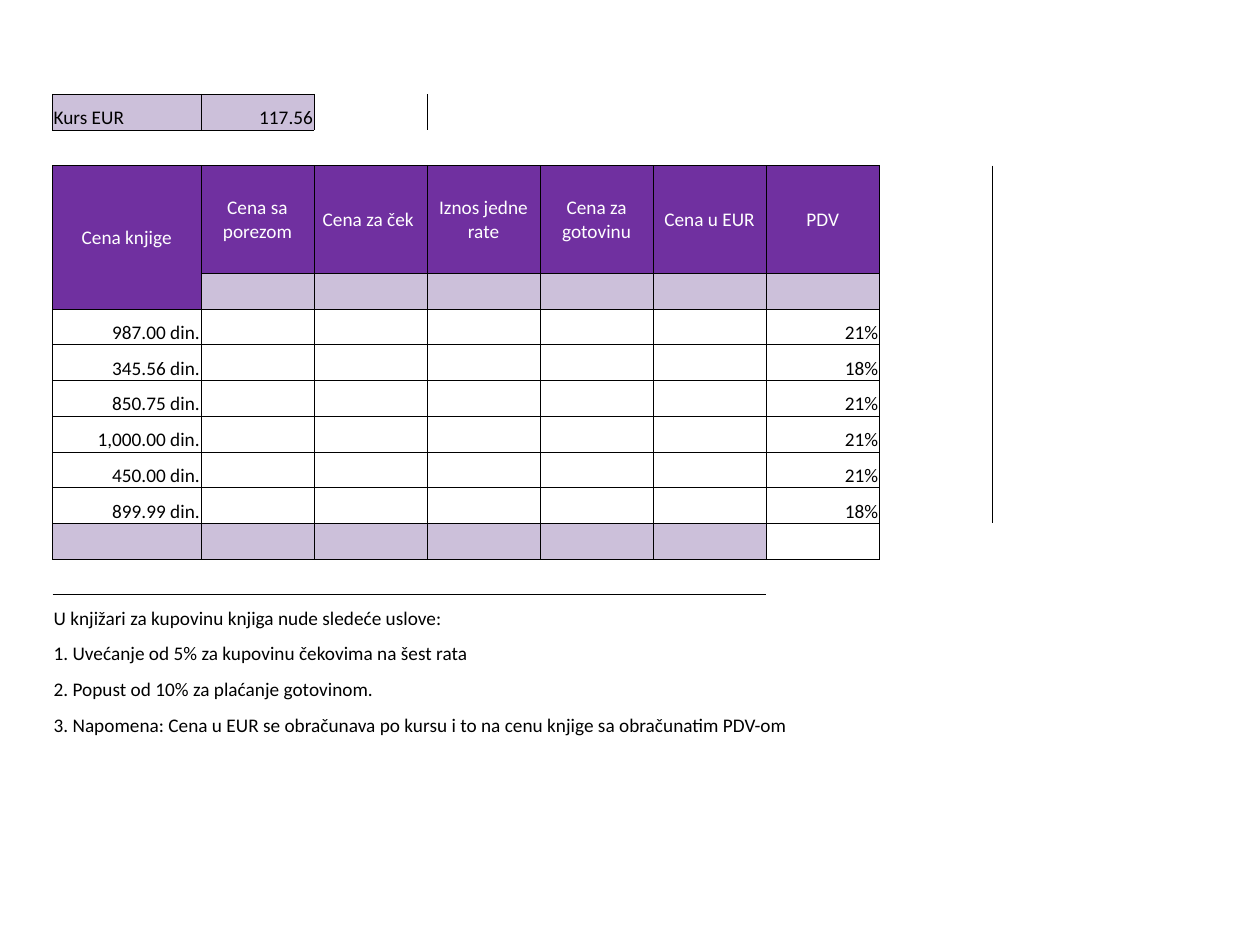
from dataclasses import dataclass

from lxml import etree
from pptx import Presentation
from pptx import util as u
from pptx.dml.color import RGBColor
from pptx.enum import text
from pptx.oxml import ns


@dataclass(frozen=True)
class Theme:
    font: str = "Calibri"
    size: int = 11
    ink: str = "000000"
    light: str = "FFFFFF"
    header: str = "7030A0"
    accent: str = "CCC0DA"
    line: float = 0.5
    no_grid: str = "{2D5ABB26-0587-4C30-8999-92F81FD0307C}"


LEFT, CENTER, RIGHT = (text.PP_ALIGN.LEFT, text.PP_ALIGN.CENTER,
                       text.PP_ALIGN.RIGHT)
BOTTOM, MIDDLE = text.MSO_ANCHOR.BOTTOM, text.MSO_ANCHOR.MIDDLE

# Lengths in centimetres
COLUMNS = [2.99] + [2.28] * 9
ROWS = [0.72, 0.72, 2.17] + [0.72] * 14

# Table rows
RATE_ROW, HEADER_ROW, FIRST_PRICE, NOTES_ROW = 0, 2, 4, 12
HEADERS = ["Cena knjige", "Cena sa porezom", "Cena za ček ",
           "Iznos jedne rate", "Cena za gotovinu", "Cena u EUR", "PDV"]
PRICES = [("987.00 din.", "21%"), ("345.56 din.", "18%"),
          ("850.75 din.", "21%"), ("1,000.00 din.", "21%"),
          ("450.00 din.", "21%"), ("899.99 din.", "18%")]
NOTES = [
    ("U knjižari za kupovinu knjiga nude sledeće uslove:", 5),
    ("1. Uvećanje od 5% za kupovinu čekovima na šest rata", 5),
    ("2. Popust od 10% za plaćanje gotovinom.", 4),
    ("3. Napomena: Cena u EUR se obračunava po kursu i to na cenu knjige "
     "sa obračunatim PDV-om", 9),
]
PDV_COLUMN = len(HEADERS) - 1
TOTAL_ROW = FIRST_PRICE + len(PRICES)


class SlideBuilder:
    def __init__(self, slide, theme):
        self.slide = slide
        self.theme = theme

    def table(self, left, top, columns, rows):
        """Add a plain table without style bands."""
        frame = self.slide.shapes.add_table(
            len(rows), len(columns), u.Cm(left), u.Cm(top),
            u.Cm(sum(columns)), u.Cm(sum(rows)))
        table = frame.table
        table.first_row = table.horz_banding = False
        table._tbl.tblPr.find(ns.qn("a:tableStyleId")).text = self.theme.no_grid
        for column, width in zip(table.columns, columns):
            column.width = u.Cm(width)
        for row, height in zip(table.rows, rows):
            row.height = u.Cm(height)
        return table

    def border(self, cell, side):
        properties = cell._tc.get_or_add_tcPr()
        line = etree.SubElement(properties, ns.qn(f"a:ln{side}"),
                                w=str(u.Pt(self.theme.line)))
        fill = etree.SubElement(line, ns.qn("a:solidFill"))
        etree.SubElement(fill, ns.qn("a:srgbClr"), val=self.theme.ink)

    def cell(self, cell, sides, fill):
        """Set borders, fill and margins; keep an empty cell small."""
        for side in sides:
            self.border(cell, side)
        if fill:
            cell.fill.solid()
            cell.fill.fore_color.rgb = RGBColor.from_string(fill)
        else:
            cell.fill.background()
        cell.margin_left = cell.margin_right = cell.margin_top = u.Cm(0.02)
        cell.margin_bottom = 0
        etree.SubElement(cell.text_frame.paragraphs[0]._p,
                         ns.qn("a:endParaRPr"), sz=str(self.theme.size * 100))

    def label(self, cell, words, align, anchor=BOTTOM, color=None):
        cell.vertical_anchor = anchor
        paragraph = cell.text_frame.paragraphs[0]
        paragraph.alignment = align
        run = paragraph.add_run()
        run.text = words
        run.font.name = self.theme.font
        run.font.size = u.Pt(self.theme.size)
        run.font.color.rgb = RGBColor.from_string(color or self.theme.ink)


def cell_fills(theme):
    """Map each framed cell to its fill; None means no fill."""
    fills = {(RATE_ROW, column): theme.accent for column in range(2)}
    for column in range(len(HEADERS)):
        fills[HEADER_ROW, column] = theme.header
        fills[HEADER_ROW + 1, column] = theme.accent if column else theme.header
        for row in range(FIRST_PRICE, TOTAL_ROW):
            fills[row, column] = None
        if column < PDV_COLUMN:
            fills[TOTAL_ROW, column] = theme.accent
    return fills


def main():
    theme = Theme()
    presentation = Presentation()
    presentation.slide_width, presentation.slide_height = u.Cm(25.4), u.Cm(19.05)
    slide = presentation.slides.add_slide(presentation.slide_layouts[6])
    builder = SlideBuilder(slide, theme)
    table = builder.table(1.06, 1.9, COLUMNS, ROWS)

    # Fills, and a line on every edge that touches a framed cell
    fills = cell_fills(theme)
    for row in range(len(ROWS)):
        for column in range(len(COLUMNS)):
            neighbours = {"L": (row, column - 1), "R": (row, column + 1),
                          "T": (row - 1, column), "B": (row + 1, column)}
            sides = [side for side, place in neighbours.items()
                     if (row, column) in fills or place in fills]
            builder.cell(table.cell(row, column), sides,
                         fills.get((row, column)))

    # Exchange rate
    builder.label(table.cell(RATE_ROW, 0), "Kurs EUR", LEFT)
    builder.label(table.cell(RATE_ROW, 1), "117.56", RIGHT)

    # Column headers
    table.cell(HEADER_ROW, 0).merge(table.cell(HEADER_ROW + 1, 0))
    for column, header in enumerate(HEADERS):
        builder.label(table.cell(HEADER_ROW, column), header, CENTER, MIDDLE,
                      theme.light)

    # Book prices and tax rates
    for row, (price, tax) in enumerate(PRICES, FIRST_PRICE):
        builder.label(table.cell(row, 0), price, RIGHT)
        builder.label(table.cell(row, PDV_COLUMN), tax, RIGHT)

    # Terms of purchase
    for row, (note, span) in enumerate(NOTES, NOTES_ROW):
        table.cell(row, 0).merge(table.cell(row, span - 1))
        builder.label(table.cell(row, 0), note, LEFT)

    presentation.save("out.pptx")


if __name__ == "__main__":
    main()
